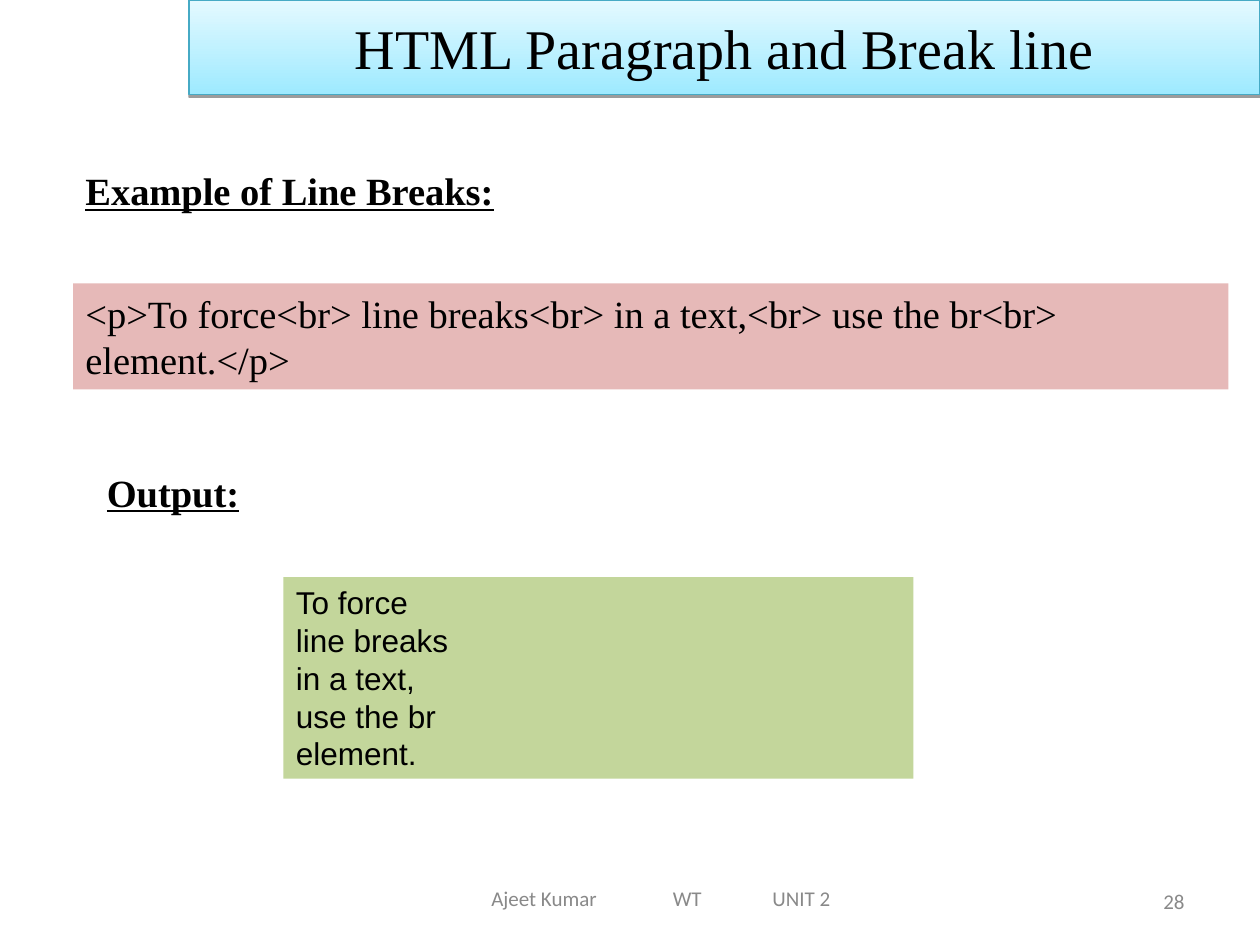
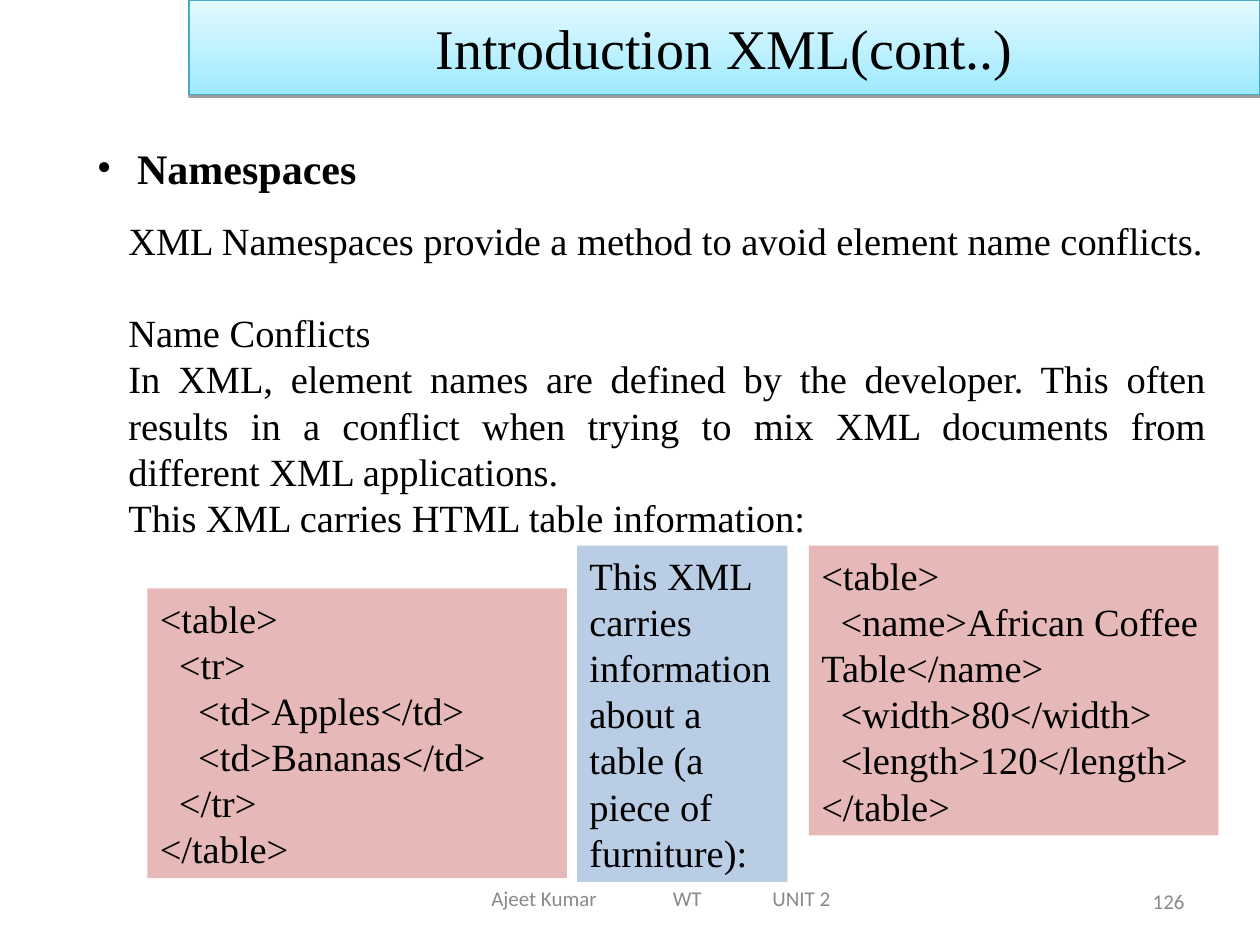
from dataclasses import dataclass
from lxml import etree
from pptx import Presentation
from pptx.dml.color import RGBColor
from pptx.enum.shapes import MSO_SHAPE
from pptx.enum.text import MSO_ANCHOR, PP_ALIGN
from pptx.oxml import parse_xml
from pptx.oxml.ns import nsdecls, qn
from pptx.util import Inches, Pt

RECT = MSO_SHAPE.RECTANGLE
TOP, MIDDLE = MSO_ANCHOR.TOP, MSO_ANCHOR.MIDDLE
LEFT, CENTER = PP_ALIGN.LEFT, PP_ALIGN.CENTER
RIGHT, JUSTIFY = PP_ALIGN.RIGHT, PP_ALIGN.JUSTIFY


@dataclass(frozen=True)
class Theme:
    ink: str = "000000"
    gray: str = "898989"
    sky: str = "9EEAFF"
    pale: str = "E4F9FF"
    edge: str = "46AAC5"
    pink: str = "E6B9B8"
    green: str = "C3D69B"
    blue: str = "B9CDE5"
    serif: str = "Times New Roman"
    sans: str = "Arial"
    foot: str = "Calibri"
    title: int = 32
    head: int = 24
    body: int = 22
    small: int = 18
    note: int = 12


theme = Theme()
hue = RGBColor.from_string


def add_box(slide, spot, texts, size=theme.body, font=theme.serif, color=theme.ink,
            fill=None, align=LEFT, anchor=TOP, bold=False, under=False):
    place = [Inches(n) for n in spot]
    if fill:
        box = slide.shapes.add_shape(RECT, *place)
        box.shadow.inherit = False
        box.fill.solid()
        box.fill.fore_color.rgb = hue(fill)
        box.line.fill.background()
    else:
        box = slide.shapes.add_textbox(*place)
    frame = box.text_frame
    frame.word_wrap = True
    frame.vertical_anchor = anchor
    for i, text in enumerate(texts):
        para = frame.add_paragraph() if i else frame.paragraphs[0]
        para.text = text
        para.alignment = align
        for run in para.runs:
            run.font.size = Pt(size)
            run.font.name = font
            run.font.color.rgb = hue(color)
            run.font.bold = bold
            run.font.underline = under
    return box


deck = Presentation()
deck.slide_width, deck.slide_height = Inches(10), Inches(7.5)
blank = deck.slide_layouts[6]
pages = []
for title, number in (("HTML Paragraph and Break line", "28"),
                      ("Introduction XML(cont..)", "126")):
    slide = deck.slides.add_slide(blank)
    pages.append(slide)

    band = add_box(slide, (1.5, 0, 8.5, 0.75), [title], theme.title,
                   fill=theme.sky, align=CENTER, anchor=MIDDLE)
    band.fill.gradient()
    band.fill.gradient_angle = 90
    for stop, color in zip(band.fill.gradient_stops, (theme.sky, theme.pale)):
        stop.color.rgb = hue(color)
    band.line.color.rgb = hue(theme.edge)
    band.line.width = Pt(0.75)
    glow = band._element.spPr.find(qn("a:effectLst"))
    glow.append(parse_xml(
        f'<a:outerShdw {nsdecls("a")} blurRad="0" dist="{Pt(1.6)}" dir="5400000" '
        f'rotWithShape="0"><a:srgbClr val="{theme.ink}"><a:alpha val="38000"/>'
        '</a:srgbClr></a:outerShdw>'))

    foot = add_box(slide, (2.5, 6.93, 5.5, 0.4), ["Ajeet Kumar\tWT\tUNIT 2"],
                   theme.note, theme.foot, theme.gray, anchor=MIDDLE)
    foot.text_frame.margin_left = Inches(1.4)
    props = foot.text_frame.paragraphs[0]._p.get_or_add_pPr()
    tabs = etree.SubElement(props, qn("a:tabLst"))
    for stop in (1.44, 2.23):
        etree.SubElement(tabs, qn("a:tab"), pos=str(Inches(stop)), algn="l")
    add_box(slide, (7.17, 6.95, 2.33, 0.4), [number], theme.note, theme.foot,
            theme.gray, align=RIGHT, anchor=MIDDLE)

breaks, names = pages

for left, top, text in ((0.58, 1.28, "Example of Line Breaks:"), (0.75, 3.67, "Output:")):
    add_box(breaks, (left, top, 9.17, 0.47), [text], align=JUSTIFY, bold=True, under=True)
add_box(breaks, (0.58, 2.25, 9.17, 0.84),
        ["<p>To force<br> line breaks<br> in a text,<br> use the br<br> element.</p>"],
        fill=theme.pink)
add_box(breaks, (2.25, 4.58, 5, 1.6),
        ["To force\nline breaks\nin a text,\nuse the br\nelement."],
        theme.small, theme.sans, fill=theme.green)

head = add_box(names, (0.67, 1.08, 7.17, 0.5), ["Namespaces"], theme.head, bold=True)
props = head.text_frame.paragraphs[0]._p.get_or_add_pPr()
props.set("marL", str(Inches(0.32)))
props.set("indent", str(Inches(-0.32)))
etree.SubElement(props, qn("a:buFont"), typeface=theme.serif)
etree.SubElement(props, qn("a:buChar"), char="•")

body = add_box(names, (0.92, 1.67, 8.75, 3.04), [
    "XML Namespaces provide a method to avoid element name conflicts.",
    "Name Conflicts",
    "In XML, element names are defined by the developer. This often results in a "
    "conflict when trying to mix XML documents from different XML applications.",
    "This XML carries HTML table information:",
], align=JUSTIFY)
first, second = body.text_frame.paragraphs[:2]
first.alignment = LEFT
second.space_before = Pt(26.5)

fruit = """<table>
  <tr>
    <td>Apples</td>
    <td>Bananas</td>
  </tr>
</table>"""
goods = """<table>
  <name>African Coffee Table</name>
  <width>80</width>
  <length>120</length>
</table>"""
claim = "This XML carries information about a table (a piece of furniture):"
for spot, text, fill in (
    ((1.17, 4.67, 3.33, 2.3), fruit, theme.pink),
    ((4.58, 4.33, 1.67, 2.67), claim, theme.blue),
    ((6.42, 4.33, 3.25, 2.3), goods, theme.pink),
):
    add_box(names, spot, [text], fill=fill)

deck.save("out.pptx")
